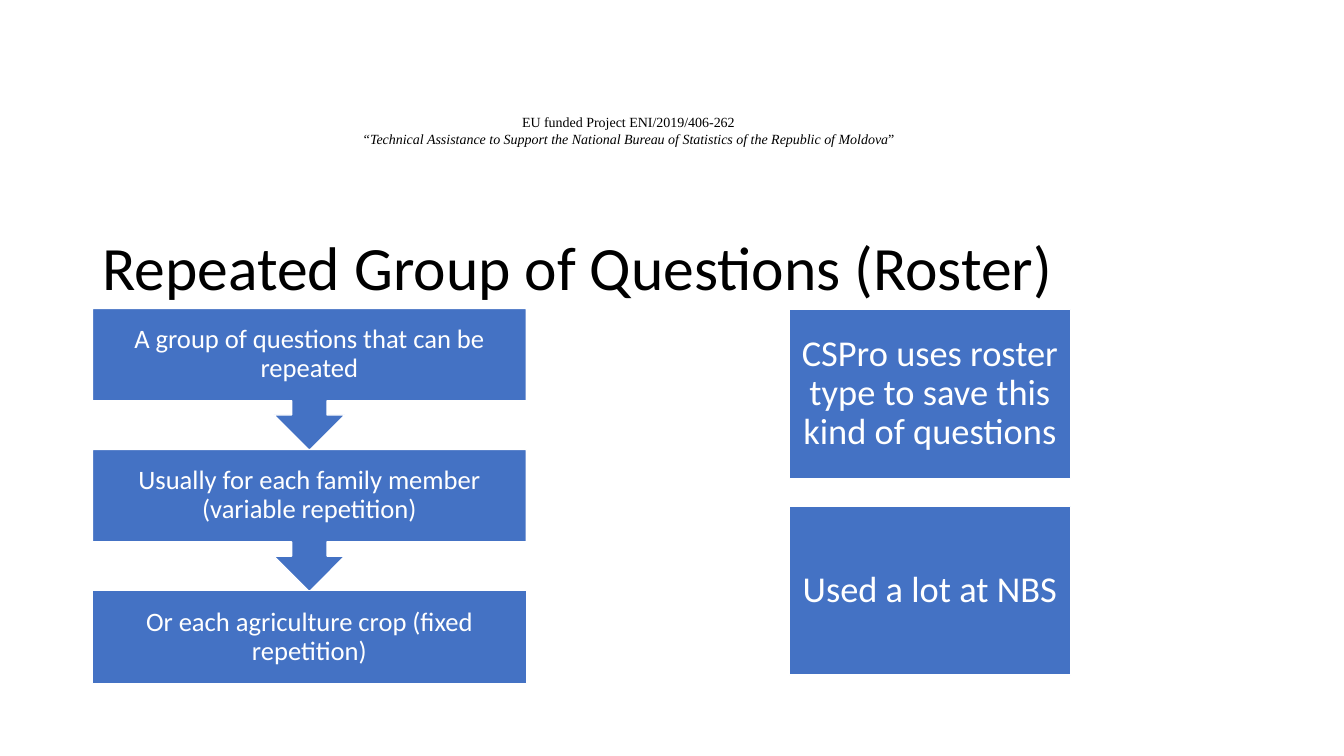
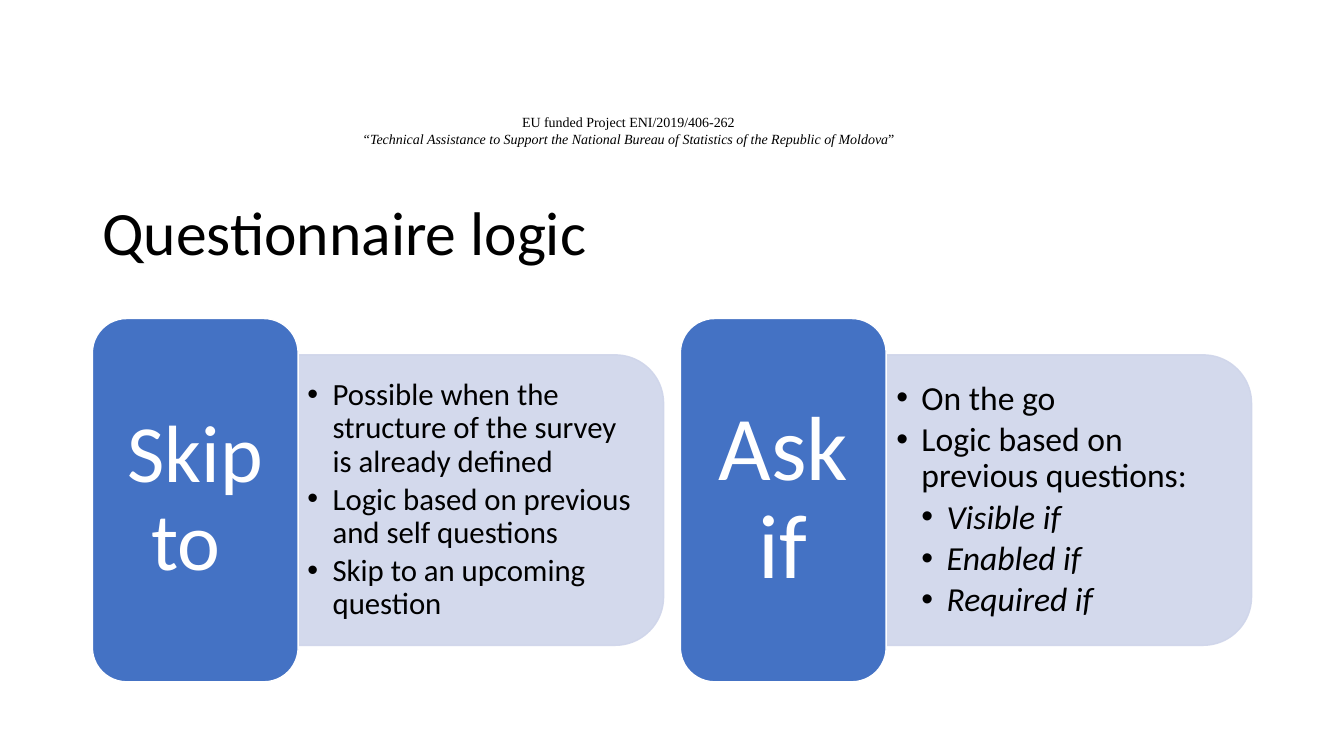
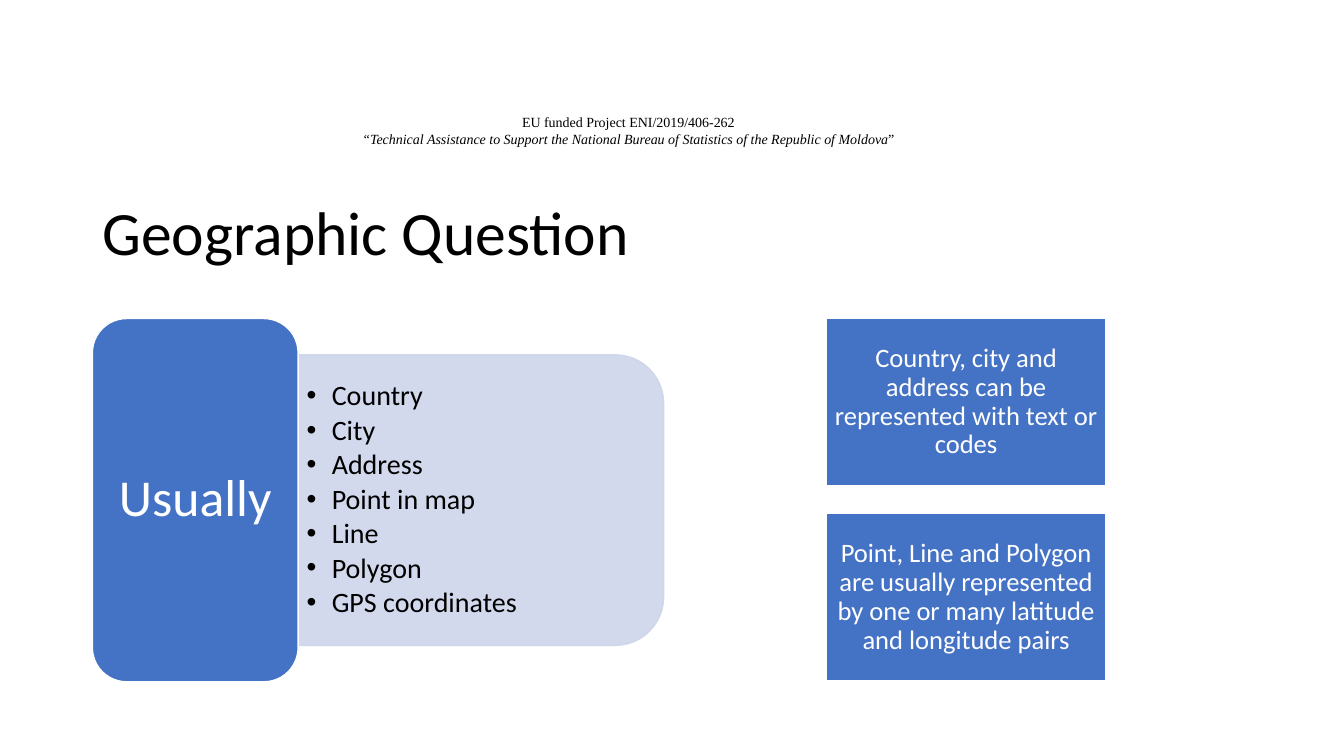
import lxml.etree
import pptx
import pptx.dml.color
import pptx.enum.shapes
import pptx.enum.text
import pptx.oxml.ns
import pptx.util

Pt = pptx.util.Pt
qn = pptx.oxml.ns.qn
SHAPE = pptx.enum.shapes.MSO_SHAPE
ANCHOR = pptx.enum.text.MSO_ANCHOR
ALIGN = pptx.enum.text.PP_ALIGN
FIT = pptx.enum.text.MSO_AUTO_SIZE

BLUE = pptx.dml.color.RGBColor(0x44, 0x72, 0xC4)
PALE = pptx.dml.color.RGBColor(0xCF, 0xD5, 0xEA)
WHITE = pptx.dml.color.RGBColor(255, 255, 255)
BLACK = pptx.dml.color.RGBColor(0, 0, 0)

LEFT = 66
CARD_TOP, CARD_WIDTH, CARD_HEIGHT = 227.5, 147, 259.5
CARD_MIDDLE = CARD_TOP + CARD_HEIGHT / 2
PANEL_WIDTH, PANEL_HEIGHT = 261, 207.5
LIST_WIDTH, LIST_HEIGHT = 251, 187
TITLE_ONLY, ONE_LIST, TWO_LISTS = 5, 1, 3


class Deck:
    """Holds the shared style and the slide being filled."""

    def __init__(self):
        self.deck = pptx.Presentation()
        self.deck.slide_width, self.deck.slide_height = Pt(960), Pt(540)
        self.slide = None

    def new_slide(self, title, layout, anchor=ANCHOR.MIDDLE):
        self.slide = self.deck.slides.add_slide(self.deck.slide_layouts[layout])
        heading = self.slide.shapes.title
        self.place(heading, LEFT, 116, 828, 104.4)
        frame = heading.text_frame
        frame.text = title
        frame.vertical_anchor = anchor
        frame.auto_size = FIT.NONE
        self.style(frame.paragraphs[0], 44, BLACK, ALIGN.LEFT)

    def master_header(self, project, quotation, closing):
        header = self.slide.shapes.add_textbox(Pt(208.8), Pt(77.8), Pt(480), Pt(31.7))
        frame = header.text_frame
        frame.word_wrap = True
        frame.auto_size = FIT.SHAPE_TO_FIT_TEXT
        frame.text = project
        subtitle = frame.add_paragraph()
        for text, italic in ((quotation, True), (closing, False)):
            run = subtitle.add_run()
            run.text = text
            run.font.italic = italic
        for line in frame.paragraphs:
            self.style(line, 10, BLACK, ALIGN.CENTER, "Times New Roman", 1.0)
        header._element.nvSpPr.cNvPr.set("id", "20")
        self.deck.slide_master.shapes._spTree.append(header._element)

    def place(self, shape, left, top, width, height):
        shape.left, shape.top = Pt(left), Pt(top)
        shape.width, shape.height = Pt(width), Pt(height)

    def style(self, paragraph, size, color, align, face="Calibri", spacing=0.9):
        paragraph.alignment = align
        paragraph.line_spacing = spacing
        paragraph.space_before = Pt(0)
        paragraph.font.name = face
        paragraph.font.size = Pt(size)
        paragraph.font.color.rgb = color

    def insets(self, frame, across, down):
        frame.margin_left = frame.margin_right = Pt(across)
        frame.margin_top = frame.margin_bottom = Pt(down)
        frame.vertical_anchor = ANCHOR.MIDDLE
        frame.word_wrap = True

    def outline(self, kind, left, top, width, height, fill, line):
        shape = self.slide.shapes.add_shape(kind, Pt(left), Pt(top), Pt(width), Pt(height))
        shape.shadow.inherit = False
        shape.fill.solid()
        shape.fill.fore_color.rgb = fill
        shape.line.color.rgb = line
        shape.line.width = Pt(1)
        return shape

    def block(self, text, kind, left, top, width, height, size, across, down):
        shape = self.outline(kind, left, top, width, height, BLUE, WHITE)
        shape.text_frame.text = text
        self.insets(shape.text_frame, across, down)
        self.style(shape.text_frame.paragraphs[0], size, WHITE, ALIGN.CENTER)

    def steps(self, texts):
        pitch, callout_height, box_height = 100.8, 101.5, 66.2
        for index, text in enumerate(texts):
            last = index == len(texts) - 1
            kind = SHAPE.RECTANGLE if last else SHAPE.DOWN_ARROW_CALLOUT
            height = box_height if last else callout_height
            self.block(text, kind, LEFT, 220.3 + index * pitch, 310, height, 19, 10.7, 10.7)

    def stack(self, texts, left, top, width, height, gap, size):
        for index, text in enumerate(texts):
            self.block(text, SHAPE.RECTANGLE, left, top + index * (height + gap),
                       width, height, size, 0.3 * size, 0.3 * size)

    def card(self, label, label_size, items, item_size, column=0):
        left = LEFT + column * 420
        panel_left = left + CARD_WIDTH
        panel = self.outline(
            SHAPE.ROUND_2_SAME_RECTANGLE,
            panel_left + (PANEL_WIDTH - PANEL_HEIGHT) / 2, CARD_MIDDLE - PANEL_WIDTH / 2,
            PANEL_HEIGHT, PANEL_WIDTH, PALE, PALE)
        panel.rotation = 90
        for color in panel._element.spPr.iter(qn("a:srgbClr")):
            lxml.etree.SubElement(color, qn("a:alpha"), val="90000")
        body = self.slide.placeholders[column + 1]
        self.slide.shapes._spTree.append(body._element)
        self.place(body, panel_left, CARD_MIDDLE - LIST_HEIGHT / 2, LIST_WIDTH, LIST_HEIGHT)
        self.bullets(body.text_frame, items, item_size)
        self.block(label, SHAPE.ROUNDED_RECTANGLE, left, CARD_TOP, CARD_WIDTH, CARD_HEIGHT,
                   label_size, 0.3 * label_size, 0.15 * label_size)

    def bullets(self, frame, items, size):
        self.insets(frame, 0.3 * size, 0.15 * size)
        frame.auto_size = FIT.NONE
        frame.text = "\n".join(text for text, level in items)
        for paragraph, (text, level) in zip(frame.paragraphs, items):
            paragraph.level = level
            properties = paragraph._p.get_or_add_pPr()
            properties.set("marL", str(Pt(18 * (level + 1))))
            properties.set("indent", str(-Pt(18)))
            lxml.etree.SubElement(properties, qn("a:buFont"), typeface="Arial")
            lxml.etree.SubElement(properties, qn("a:buChar"), char="•")
            self.style(paragraph, size, BLACK, ALIGN.LEFT)
            paragraph.space_after = Pt(0.15 * size)
            paragraph.font.italic = level > 0


def main():
    deck = Deck()

    deck.new_slide("Repeated Group of Questions (Roster)", TITLE_ONLY, ANCHOR.BOTTOM)
    deck.master_header(
        "EU funded Project ENI/2019/406-262",
        "“Technical Assistance to Support the National Bureau of Statistics "
        "of the Republic of Moldova", "”")
    deck.stack(["CSPro uses roster type to save this kind of questions",
                "Used a lot at NBS"], 563.8, 221, 201, 120.6, 20, 26)
    deck.steps(["A group of questions that can be repeated",
                "Usually for each family member (variable repetition)",
                "Or each agriculture crop (fixed repetition)"])

    deck.new_slide("Questionnaire logic", TWO_LISTS)
    deck.card("Skip to ", 58, [
        ("Possible when the structure of the survey is already defined", 0),
        ("Logic based on previous and self questions", 0),
        ("Skip to an upcoming question", 0)], 22)
    deck.card("Ask if", 65, [
        ("On the go", 0),
        ("Logic based on previous questions:", 0),
        ("Visible if", 1),
        ("Enabled if", 1),
        ("Required if", 1)], 24, column=1)

    deck.new_slide("Geographic Question", ONE_LIST)
    places = ["Country", "City", "Address", "Point in map", "Line", "Polygon",
              "GPS coordinates"]
    deck.card("Usually", 37, [(place, 0) for place in places], 20)
    deck.stack(["Country, city and address can be represented with text or codes",
                "Point, Line and Polygon are usually represented by one or many "
                "latitude and longitude pairs"], 590.4, CARD_TOP, 199.4, 119.5, 20, 19)

    deck.deck.save("out.pptx")


if __name__ == "__main__":
    main()
